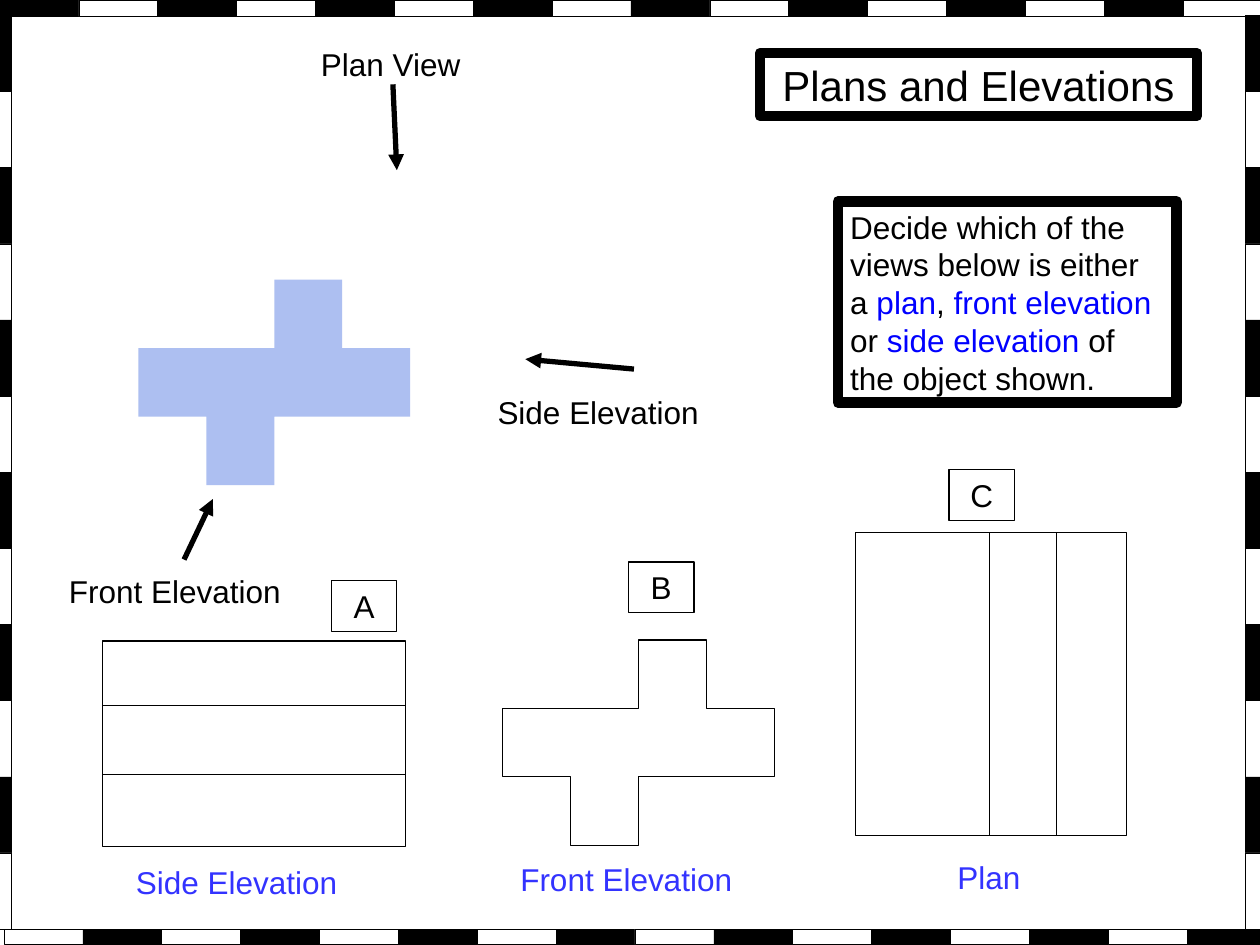
from lxml import etree
from pptx import Presentation
from pptx.dml.color import RGBColor
from pptx.enum.shapes import MSO_CONNECTOR, MSO_SHAPE
from pptx.enum.text import MSO_ANCHOR, MSO_AUTO_SIZE, PP_ALIGN
from pptx.oxml.ns import qn
from pptx.util import Cm, Pt

RECT = MSO_SHAPE.RECTANGLE
LINE = MSO_CONNECTOR.STRAIGHT
LEFT, MID = PP_ALIGN.LEFT, PP_ALIGN.CENTER
BLACK, WHITE, BLUE, LINK, PALE = "000000", "FFFFFF", "3333FF", "0000FF", "ADBFF1"

TITLE = ("Plans and Elevations", (15.32, 1.07, 8.81, 1.27))
TASK = [("Decide which of the views below is either a ", BLACK), ("plan", LINK),
        (", ", BLACK), ("front elevation", LINK), (" or ", BLACK),
        ("side elevation", LINK), (" of the object shown.", BLACK)]
TASK_BOX = (16.89, 4.06, 6.83, 4.06)

LABELS = [
    ("Front Elevation", BLACK, (1.14, 11.4, 4.95, 1.02)),
    ("Side Elevation", BLACK, (9.78, 7.8, 4.95, 1.02)),
    ("Plan View", BLACK, (6.22, 0.79, 3.56, 1.02)),
    ("Side Elevation", BLUE, (2.49, 17.27, 5.66, 1.02)),
    ("Front Elevation", BLUE, (10.24, 17.22, 5.66, 1.02)),
    ("Plan", BLUE, (19.05, 17.17, 5.66, 1.02)),
]
TAGS = [("A", 6.68, 11.71), ("B", 12.67, 11.33), ("C", 19.13, 9.47)]
TAG_SIZE = (1.32, 1.02)
ARROWS = [(12.78, 7.44, 10.59, 7.24), (7.92, 1.7, 8, 3.43), (3.71, 11.28, 4.29, 10.06)]

CROSS = [(0, 1), (2, 1), (2, 0), (3, 0), (3, 1), (4, 1),
         (4, 2), (2, 2), (2, 3), (1, 3), (1, 2), (0, 2)]
CELL = (1.37, 1.38)
CROSSES = [((2.79, 5.64), PALE, None), ((10.13, 12.9), None, BLACK)]

VIEWS = [
    ((2.07, 12.92, 6.1, 4.14), [(2.07, 14.22, 8.17, 14.22), (2.07, 15.62, 8.17, 15.62)]),
    ((17.25, 10.74, 5.46, 6.1), [(19.94, 10.74, 19.94, 16.84), (21.3, 10.74, 21.3, 16.84)]),
]
EDGES = [
    (16, (0, 0), (1.59, 0.33), (1, 0), (BLACK, WHITE)),
    (16, (0.08, 18.73), (1.59, 0.31), (1, 0), (WHITE, BLACK)),
    (12, (25.1, 0.31), (0.31, 1.535), (0, 1), (BLACK, WHITE)),
    (12, (-0.08, 0.31), (0.31, 1.535), (0, 1), (BLACK, WHITE)),
]


def rgb(code):
    return RGBColor.from_string(code)


def cms(nums):
    return [Cm(n) for n in nums]


def paint(shape, fill=None, line=None, width=0.75):
    shape.shadow.inherit = False
    if fill:
        shape.fill.solid()
        shape.fill.fore_color.rgb = rgb(fill)
    else:
        shape.fill.background()
    if line:
        shape.line.color.rgb = rgb(line)
        shape.line.width = Pt(width)
    else:
        shape.line.fill.background()


def write(shape, runs, size=18, align=LEFT):
    frame = shape.text_frame
    look = {"word_wrap": True, "auto_size": MSO_AUTO_SIZE.NONE,
            "vertical_anchor": MSO_ANCHOR.TOP}
    for key, val in look.items():
        setattr(frame, key, val)
    para = frame.paragraphs[0]
    para.alignment = align
    for text, color in runs:
        run = para.add_run()
        run.text = text
        for key, val in {"name": "Arial", "size": Pt(size)}.items():
            setattr(run.font, key, val)
        run.font.color.rgb = rgb(color)


def rect(shapes, box, **look):
    shape = shapes.add_shape(RECT, *cms(box))
    paint(shape, **look)
    return shape


def rule(shapes, ends, width=0.75, arrow=False):
    line = shapes.add_connector(LINE, *cms(ends))
    line.line.color.rgb = rgb(BLACK)
    line.line.width = Pt(width)
    if arrow:
        etree.SubElement(line.line._get_or_add_ln(), qn("a:tailEnd"), type="triangle")
    etree.SubElement(line._element.spPr, qn("a:effectLst"))


def cross(shapes, spot, fill, line):
    pts = [cms(o + n * c for o, n, c in zip(spot, pt, CELL)) for pt in CROSS]
    form = shapes.build_freeform(*pts[0])
    form.add_line_segments(pts[1:], close=True)
    paint(form.convert_to_shape(), fill, line)


def main():
    deck = Presentation()
    deck.slide_width, deck.slide_height = Cm(25.4), Cm(19.05)
    slide = deck.slides.add_slide(deck.slide_layouts[5])
    shapes = slide.shapes

    text, box = TITLE
    title = shapes.title
    for key, val in zip(("left", "top", "width", "height"), cms(box)):
        setattr(title, key, val)
    title.fill.background()
    title.line.color.rgb = rgb(BLACK)
    title.line.width = Pt(6)
    write(title, [(text, BLACK)], 24, MID)
    write(rect(shapes, TASK_BOX, line=BLACK, width=6), TASK)

    for text, color, box in LABELS:
        write(shapes.add_textbox(*cms(box)), [(text, color)])
    for ends in ARROWS:
        rule(shapes, ends, 3, True)

    for count, spot, size, step, fills in EDGES:
        edge = shapes.add_group_shape().shapes
        for i in range(count):
            place = [o + i * s * d for o, s, d in zip(spot, size, step)]
            rect(edge, (*place, *size), fill=fills[i % 2], line=BLACK, width=0.25)

    for spot, fill, line in CROSSES:
        cross(shapes, spot, fill, line)
    for box, lines in VIEWS:
        view = shapes.add_group_shape().shapes
        rect(view, box, line=BLACK)
        for ends in lines:
            rule(view, ends)
    for text, left, top in TAGS:
        write(rect(shapes, (left, top, *TAG_SIZE), line=BLACK), [(text, BLACK)], align=MID)

    deck.save("out.pptx")


if __name__ == "__main__":
    main()
